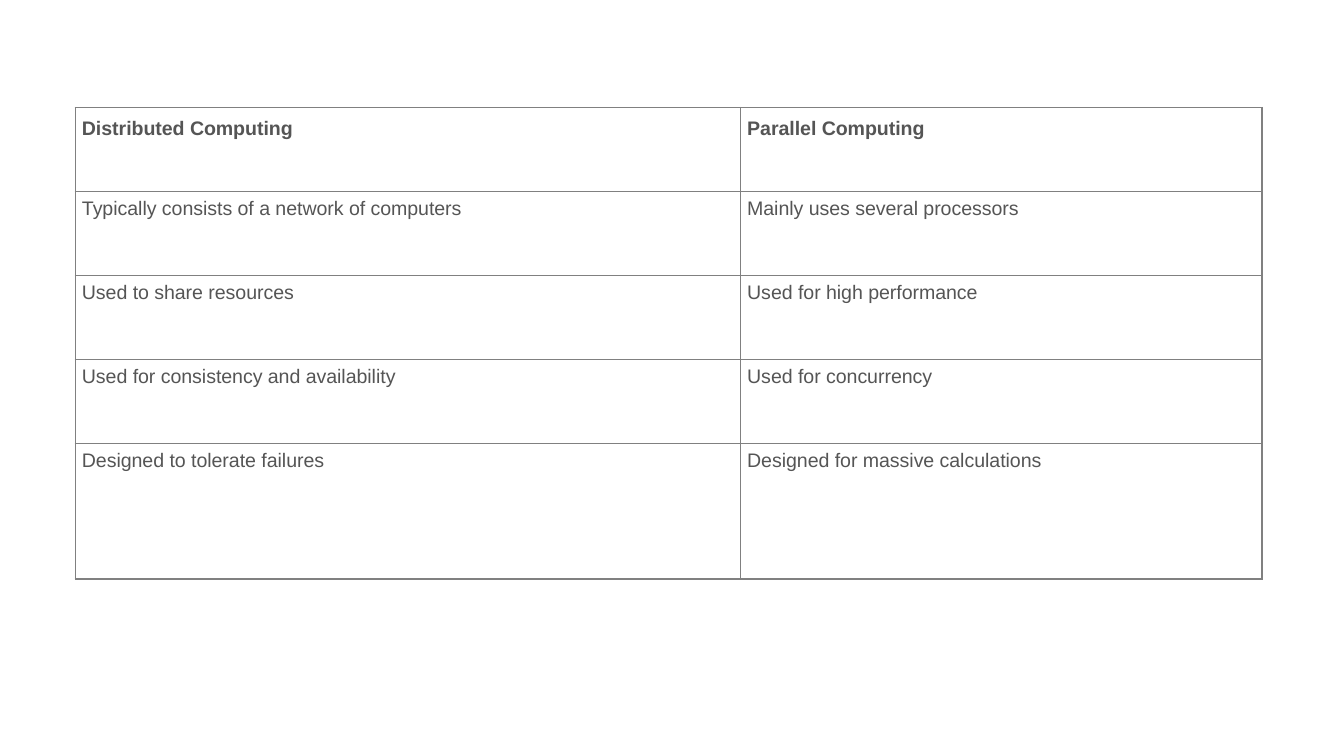
"""Build a slide with a table comparing distributed and parallel computing."""
from lxml import etree
from pptx import Presentation
from pptx.dml.color import RGBColor
from pptx.oxml.ns import qn
from pptx.util import Pt

TEXT = RGBColor(0x55, 0x55, 0x55)
BORDER = RGBColor(0x80, 0x80, 0x80)

COLUMN_WIDTHS = [356.4, 279.4]
ROW_HEIGHTS = [45, 45, 45, 45, 72.7]
ROWS = [
    ("Distributed Computing", "Parallel Computing"),
    ("Typically consists of a network of computers", "Mainly uses several processors"),
    ("Used to share resources", "Used for high performance"),
    ("Used for consistency and availability", "Used for concurrency"),
    ("Designed to tolerate failures", "Designed for massive calculations"),
]


def set_borders(cell, color, width):
    tcPr = cell._tc.get_or_add_tcPr()
    for i, side in enumerate(("a:lnL", "a:lnR", "a:lnT", "a:lnB")):
        ln = etree.Element(qn(side), w=str(width))
        fill = etree.SubElement(ln, qn("a:solidFill"))
        etree.SubElement(fill, qn("a:srgbClr"), val=str(color))
        tcPr.insert(i, ln)


prs = Presentation()
prs.slide_width, prs.slide_height = Pt(720), Pt(405)
s = prs.slides.add_slide(prs.slide_layouts[6])

table = s.shapes.add_table(
    len(ROWS), len(COLUMN_WIDTHS), Pt(40.3), Pt(57.6),
    Pt(sum(COLUMN_WIDTHS)), Pt(sum(ROW_HEIGHTS))).table
table.horz_banding = False
for column, width in zip(table.columns, COLUMN_WIDTHS):
    column.width = Pt(width)

for i, (row, height, labels) in enumerate(zip(table.rows, ROW_HEIGHTS, ROWS)):
    row.height = Pt(height)
    for cell, label in zip(row.cells, labels):
        cell.margin_left = cell.margin_right = Pt(3.6)
        cell.margin_top = cell.margin_bottom = Pt(3.6)
        cell.fill.background()
        set_borders(cell, BORDER, Pt(0.75))
        p = cell.text_frame.paragraphs[0]
        p.text = label
        p.font.name, p.font.size = "Arial", Pt(10.5)
        p.font.bold = i == 0
        p.font.color.rgb = TEXT
        if i == 0:
            p.line_spacing = 1.15

prs.save("out.pptx")
